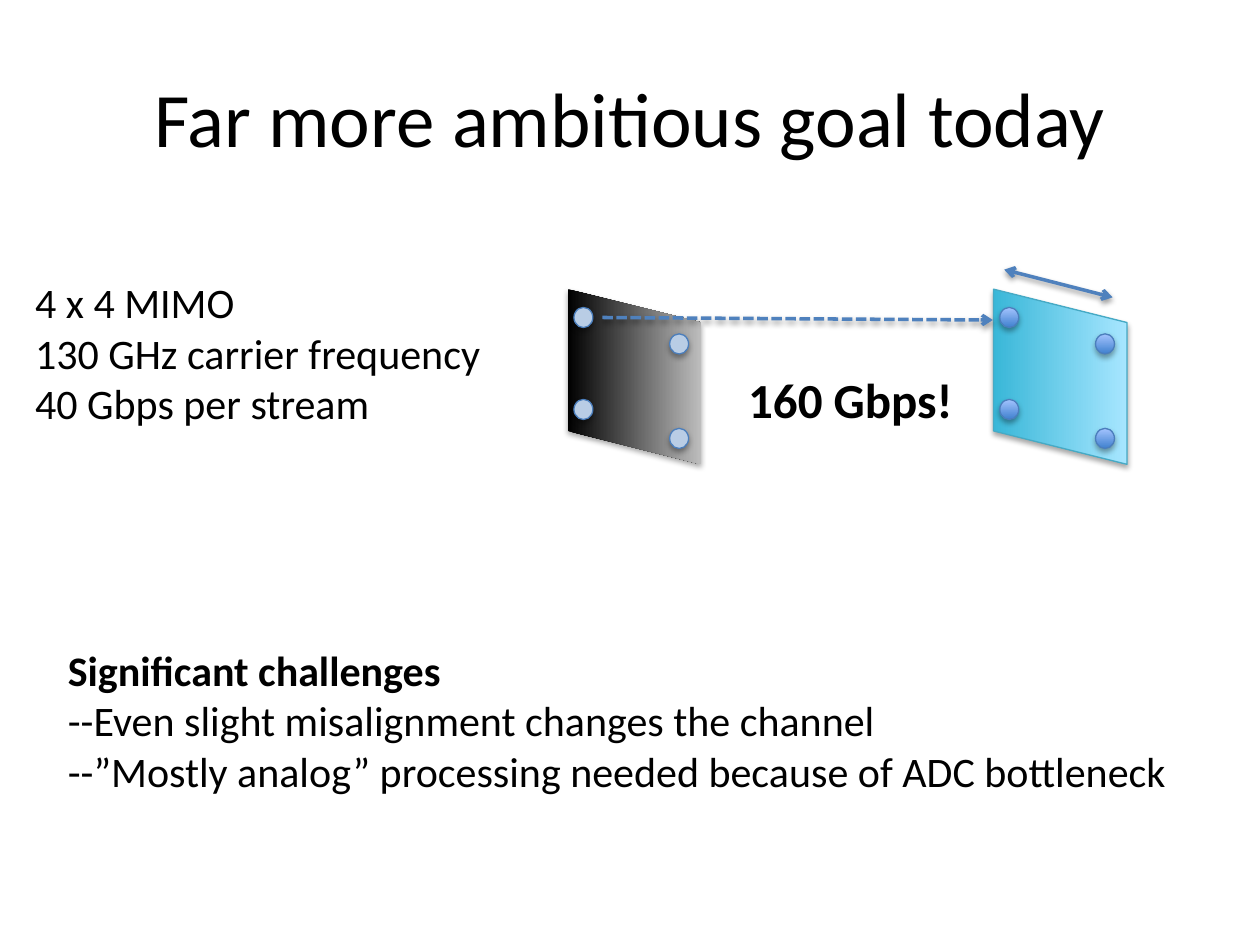
from lxml import etree
from pptx import Presentation, util as u
from pptx.dml.color import RGBColor
from pptx.enum import dml, shapes, text
from pptx.oxml import parse_xml
from pptx.oxml.ns import nsdecls, qn

BLACK = RGBColor(0x00, 0x00, 0x00)
GREY = RGBColor(0xBD, 0xBD, 0xBD)
TEAL = RGBColor(0x39, 0xB7, 0xD8)
SKY = RGBColor(0xA7, 0xE6, 0xFF)
EDGE = RGBColor(0x46, 0xAA, 0xC5)
BLUE = RGBColor(0x3F, 0x80, 0xCE)
LIGHT = RGBColor(0xA4, 0xC4, 0xFF)
RIM = RGBColor(0x4B, 0x7E, 0xBC)
PALE = RGBColor(0xB9, 0xCD, 0xE5)
ARROW = RGBColor(0x4F, 0x81, 0xBD)

# Content: box, lines as (words, bold), format
TEXTS = [
    ((0.5, 0.3, 9, 1.25), [("Far more ambitious goal today", False)],
     dict(size=44, align=text.PP_ALIGN.CENTER, wrap=True)),
    ((0.18, 2.14, 3.78, 1.31),
     [("4 x 4 MIMO", False), ("130 GHz carrier frequency", False),
      ("40 Gbps per stream", False)],
     dict(size=24, align=text.PP_ALIGN.LEFT, wrap=False)),
    ((0.44, 5.06, 9.01, 1.31),
     [("Significant challenges", True),
      ("--Even slight misalignment changes the channel", False),
      ("--”Mostly analog” processing needed because of ADC bottleneck", False)],
     dict(size=24, align=text.PP_ALIGN.LEFT, wrap=False)),
    ((5.84, 2.88, 1.83, 0.57), [("160 Gbps!", True)],
     dict(size=28, align=text.PP_ALIGN.LEFT, wrap=False)),
]

# Antenna panels: left, panel colours, panel edge, antenna colours
PANELS = [
    (7.72, (TEAL, SKY), EDGE, (BLUE, LIGHT)),
    (4.34, (BLACK, GREY), None, (PALE,)),
]
TOP, WIDE, HIGH = 2.46, 1.39, 1.06
DOTS = [(0.215, 2.44), (0.975, 2.65), (0.975, 3.4), (0.215, 3.17)]

# Arrows: from, to, dash, arrowheads
ARROWS = [
    ((4.78, 2.52), (7.88, 2.54), dml.MSO_LINE.SQUARE_DOT, ["tailEnd"]),
    ((7.97, 2.14), (8.83, 2.36), None, ["headEnd", "tailEnd"]),
]


def add_shade(part, dist, alpha):
    props = part._element.spPr
    old = props.find(qn("a:effectLst"))
    if old is not None:
        props.remove(old)
    props.append(parse_xml(
        f'<a:effectLst {nsdecls("a")}><a:outerShdw blurRad="40000" dist="{dist}" '
        'dir="5400000" rotWithShape="0"><a:srgbClr val="000000">'
        f'<a:alpha val="{alpha}"/></a:srgbClr></a:outerShdw></a:effectLst>'))


def add_part(slide, kind, box, tones, edge):
    part = slide.shapes.add_shape(kind, *map(u.Inches, box))
    if len(tones) == 1:
        part.fill.solid()
        part.fill.fore_color.rgb = tones[0]
    else:
        part.fill.gradient()
        part.fill.gradient_angle = 90
        for stop, tone, spot in zip(part.fill.gradient_stops, tones, (0, 1)):
            stop.color.rgb = tone
            stop.position = spot
    if edge is None:
        part.line.fill.background()
    else:
        part.line.color.rgb = edge
        part.line.width = u.Pt(0.75)
    add_shade(part, 23000, 35000)
    return part


def add_arrow(slide, start, end, dash, heads):
    line = slide.shapes.add_connector(
        shapes.MSO_CONNECTOR.STRAIGHT, *map(u.Inches, start + end))
    line.line.color.rgb = ARROW
    line.line.width = u.Pt(2)
    if dash is not None:
        line.line.dash_style = dash
    for head in heads:
        etree.SubElement(line.line._get_or_add_ln(), qn("a:" + head), type="arrow")
    add_shade(line, 20000, 38000)


def add_text(slide, box, lines, look):
    frame = slide.shapes.add_textbox(*map(u.Inches, box)).text_frame
    frame.word_wrap = look["wrap"]
    frame.vertical_anchor = text.MSO_ANCHOR.MIDDLE
    for i, (words, bold) in enumerate(lines):
        para = frame.add_paragraph() if i else frame.paragraphs[0]
        para.alignment = look["align"]
        run = para.add_run()
        run.text = words
        run.font.color.rgb = BLACK
        form = dict(name="Calibri", size=u.Pt(look["size"]), bold=bold)
        for key, value in form.items():
            setattr(run.font, key, value)


def main():
    deck = Presentation()
    deck.slide_width, deck.slide_height = u.Inches(10), u.Inches(7.5)
    slide = deck.slides.add_slide(deck.slide_layouts[6])

    # Panels with four antennas each
    for left, tones, edge, dots in PANELS:
        panel = add_part(slide, shapes.MSO_SHAPE.PARALLELOGRAM,
                         (left, TOP, WIDE, HIGH), tones, edge)
        panel.rotation = 90
        for x, y in DOTS:
            add_part(slide, shapes.MSO_SHAPE.OVAL,
                     (left + x, y, 0.15, 0.16), dots, RIM)

    for arrow in ARROWS:
        add_arrow(slide, *arrow)
    for item in TEXTS:
        add_text(slide, *item)
    deck.save("out.pptx")


if __name__ == "__main__":
    main()
